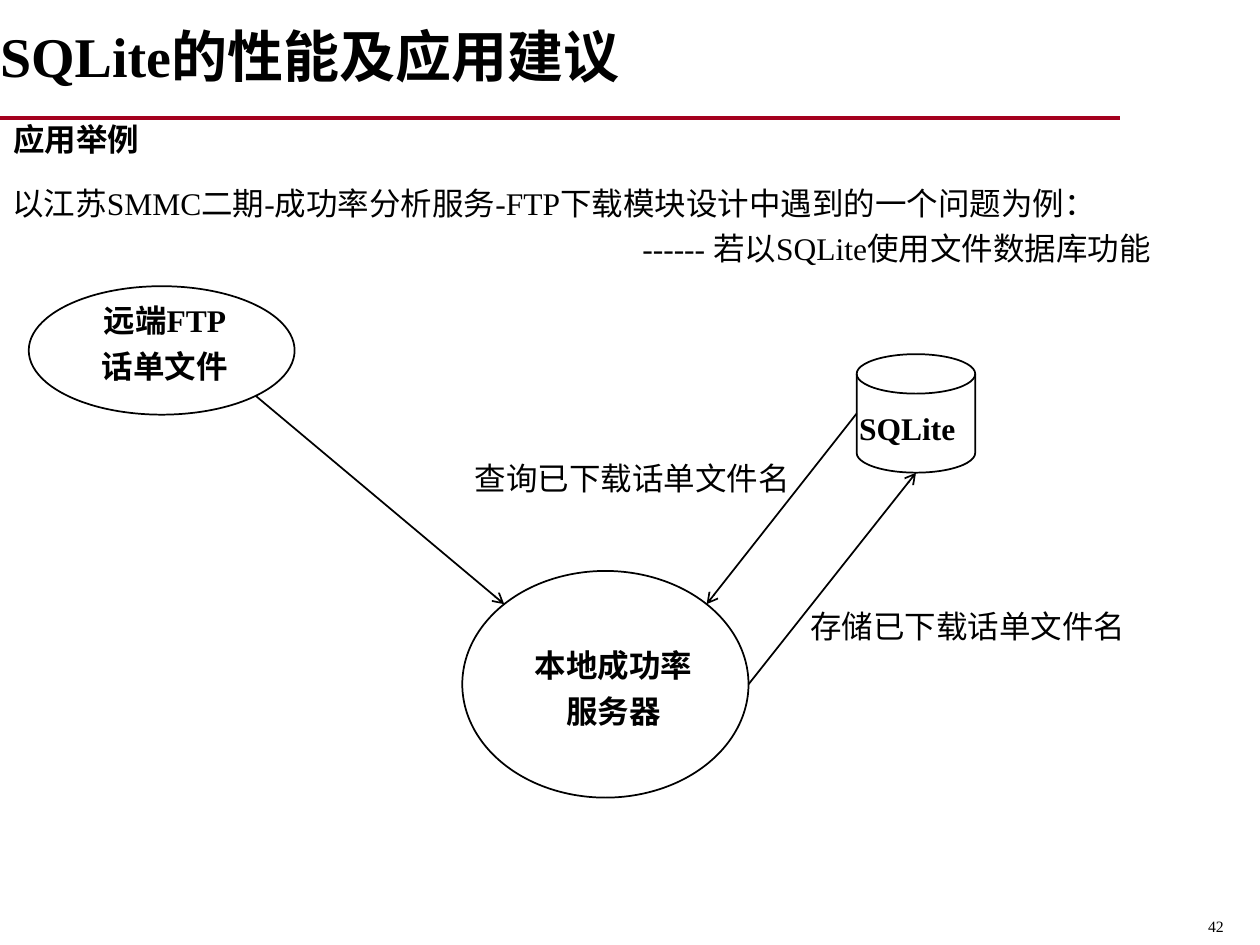
from math import cos, radians, sin

from lxml.etree import SubElement
from pptx import Presentation
from pptx.dml.color import RGBColor
from pptx.enum.shapes import MSO_CONNECTOR, MSO_SHAPE
from pptx.enum.text import MSO_ANCHOR, PP_ALIGN
from pptx.oxml.ns import qn
from pptx.util import Cm, Pt

FONT = "Times New Roman"
BLACK = "000000"
RED = "A4001E"


def paint(color, code):
    color.rgb = RGBColor.from_string(code)


def style(par, size=18, bold=False, align=PP_ALIGN.LEFT):
    par.alignment = align
    par.font.name = FONT
    par.font.size = Pt(size)
    par.font.bold = bold
    paint(par.font.color, BLACK)


def add_text(slide, box, lines, wrap=True, **look):
    """Add a text box with one paragraph for each line."""
    frame = slide.shapes.add_textbox(*map(Cm, box)).text_frame
    frame.word_wrap = wrap
    for i, line in enumerate(lines):
        par = frame.paragraphs[0] if i == 0 else frame.add_paragraph()
        par.text = line
        style(par, **look)
        if i:
            par.space_before = Pt(4.5)
    return frame


def add_line(slide, start, end, code=BLACK, width=1, arrow=False):
    link = slide.shapes.add_connector(MSO_CONNECTOR.STRAIGHT, *start, *end)
    paint(link.line.color, code)
    link.line.width = Pt(width)
    if arrow:
        SubElement(link.line._get_or_add_ln(), qn("a:tailEnd"), type="arrow")
    SubElement(link._element.spPr, qn("a:effectLst"))


def add_node(slide, kind, box):
    node = slide.shapes.add_shape(kind, *map(Cm, box))
    node.shadow.inherit = False
    node.fill.background()
    paint(node.line.color, BLACK)
    node.line.width = Pt(1)
    return node


def rim(node, angle):
    """Point on the node's edge, clockwise in degrees from the right."""
    turn = radians(angle)
    return (int(node.left + node.width / 2 * (1 + cos(turn))),
            int(node.top + node.height / 2 * (1 + sin(turn))))


def header(slide, box):
    left, top, width, height = box
    title = slide.shapes.title
    title.left, title.top, title.width, title.height = map(Cm, box)
    frame = title.text_frame
    frame.margin_left = 0
    frame.vertical_anchor = MSO_ANCHOR.MIDDLE
    frame.text = "SQLite的性能及应用建议"
    par = frame.paragraphs[0]
    par.line_spacing = 0.95
    style(par, 32, True)
    base = Cm(top + height)
    add_line(slide, (Cm(left), base), (Cm(left + 22.58), base), RED, 2.25)


def intro(slide, box):
    left, top, width, height = box
    head = add_text(slide, (left, top, 3.07, 0.94), ["应用举例"], wrap=False,
                    bold=True, align=PP_ALIGN.CENTER)
    head.paragraphs[0].line_spacing = 0.9
    body = add_text(slide, (left, top + 1.19, width, height - 1.19), [
        "以江苏SMMC二期-成功率分析服务-FTP下载模块设计中遇到的一个问题为例：",
        "------ 若以SQLite使用文件数据库功能"])
    props = body.paragraphs[1]._p.get_or_add_pPr()
    props.set("marL", str(Cm(12.7)))
    props.set("indent", "0")


def diagram(slide, box):
    left, top = box[:2]

    def at(x, y, width, height):
        return left + x, top + y, width, height

    remote = add_node(slide, MSO_SHAPE.OVAL, at(0, 0, 5.36, 2.59))
    server = add_node(slide, MSO_SHAPE.OVAL, at(8.74, 5.74, 5.77, 4.57))
    store = add_node(slide, MSO_SHAPE.FLOWCHART_MAGNETIC_DISK,
                     at(16.69, 1.37, 2.39, 2.39))

    for start, out, end, into in [(remote, 45, server, 225),
                                  (server, 0, store, 90),
                                  (store, 180, server, 315)]:
        add_line(slide, rim(start, out), rim(end, into), arrow=True)

    mid = {"bold": True, "align": PP_ALIGN.CENTER}
    add_text(slide, at(0.61, 0.17, 4.27, 1.98), ["远端FTP", "话单文件"], **mid)
    add_text(slide, at(9.73, 7.13, 4.11, 1.98), ["本地成功率", "服务器"], **mid)
    add_text(slide, at(16.49, 2.36, 2.59, 1.02), ["SQLite"], bold=True)
    for x, y, label in [(15.5, 6.35, "存储已下载话单文件名"),
                        (8.74, 3.35, "查询已下载话单文件名")]:
        add_text(slide, at(x, y, 6.93, 1.02), [label], wrap=False)


def footer(slide, box):
    add_text(slide, box, ["42"], size=9, align=PP_ALIGN.RIGHT)


def main():
    deck = Presentation()
    deck.slide_width, deck.slide_height = Cm(25.4), Cm(19.05)
    slide = deck.slides.add_slide(deck.slide_layouts[5])
    header(slide, (0, 0, 25.4, 2.37))
    intro(slide, (0, 2.39, 25.4, 3.17))
    diagram(slide, (0.58, 5.77, 22.43, 10.31))
    footer(slide, (16.13, 18.36, 8.79, 0.64))
    deck.save("out.pptx")


if __name__ == "__main__":
    main()
